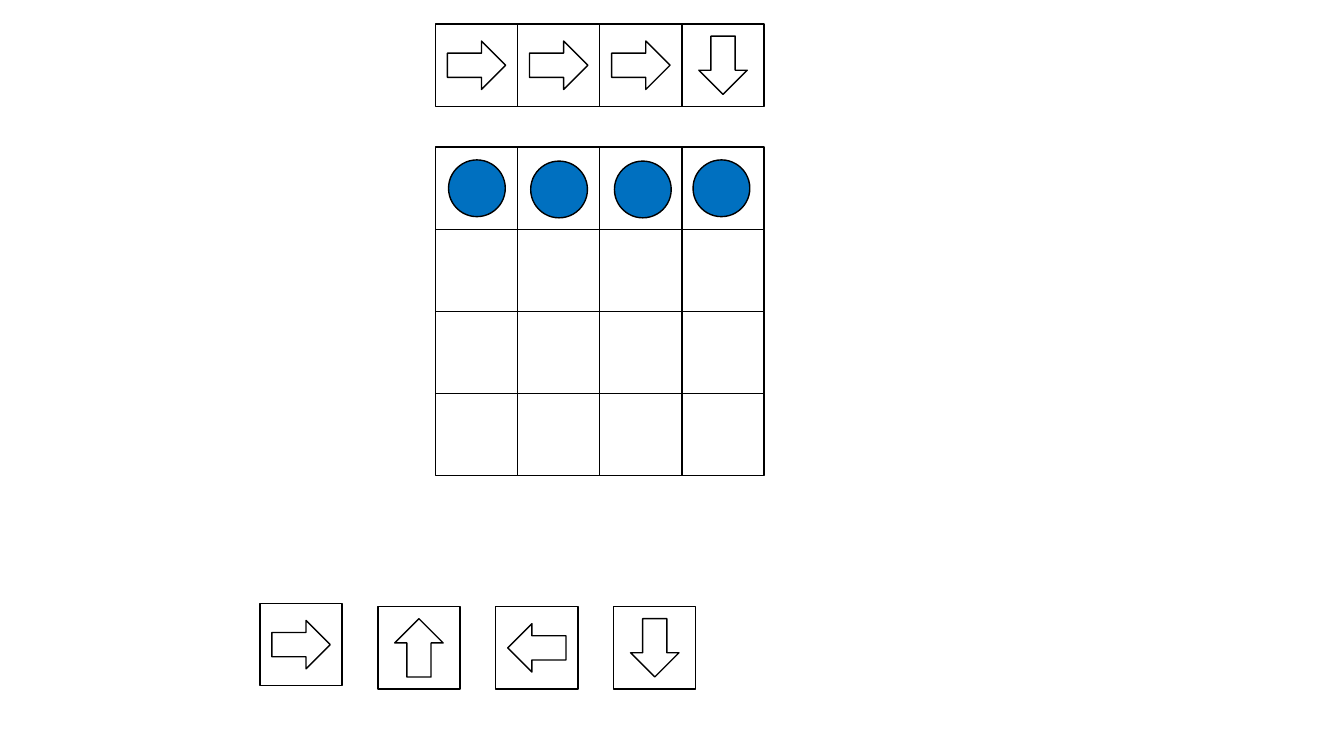
from pptx import Presentation
from pptx import util as u
from pptx.dml import color
from pptx.enum import shapes

COLORS = {"paper": "FFFFFF", "ink": "000000", "token": "0070C0"}
SHAPE = shapes.MSO_SHAPE
CELL = 2.07  # side of a square, in cm
ARROW_W, ARROW_H = 1.47, 1.22
TOKEN = 1.43
TURN = {"right": 0, "down": 90, "left": 180, "up": 270}


class Board:
    line_format = {"width": u.Pt(1)}

    def __init__(self, slide):
        self.s = slide

    def shape(self, kind, x, y, w, h, fill="paper", parent=None, **attrs):
        owner = parent or self.s
        sp = owner.shapes.add_shape(kind, u.Cm(x), u.Cm(y), u.Cm(w), u.Cm(h))
        sp.shadow.inherit = False
        sp.fill.solid()
        sp.fill.fore_color.rgb = color.RGBColor.from_string(COLORS[fill])
        sp.line.color.rgb = color.RGBColor.from_string(COLORS["ink"])
        for target, values in ((sp.line, self.line_format), (sp, attrs)):
            for name, value in values.items():
                setattr(target, name, value)
        return sp

    def square(self, x, y, parent=None):
        return self.shape(SHAPE.RECTANGLE, x, y, CELL, CELL, parent=parent)

    def token(self, x, y):
        return self.shape(SHAPE.OVAL, x, y, TOKEN, TOKEN, fill="token")

    def card(self, x, y, direction):
        group = self.s.shapes.add_group_shape()
        self.square(x, y, group)
        self.shape(SHAPE.RIGHT_ARROW, x + (CELL - ARROW_W) / 2,
                   y + (CELL - ARROW_H) / 2, ARROW_W, ARROW_H,
                   parent=group, rotation=TURN[direction])
        return group


prs = Presentation()
prs.slide_width, prs.slide_height = u.Inches(13.33), u.Inches(7.5)
board = Board(prs.slides.add_slide(prs.slide_layouts[6]))

# Playing grid
LEFT, GRID_TOP = 10.97, 3.71
for row in range(4):
    for col in range(4):
        board.square(LEFT + col * CELL, GRID_TOP + row * CELL)

# Tokens on the top row
for x, y in ((11.3, 4.03), (13.37, 4.06), (15.48, 4.06), (17.46, 4.03)):
    board.token(x, y)

# Program of moves above the grid
for i, direction in enumerate(("right", "right", "right", "down")):
    board.card(LEFT + i * CELL, 0.61, direction)

# Loose cards to choose from, the first one slightly higher
STOCK_LEFT, STOCK_STEP = 6.55, 2.97
for i, direction in enumerate(("right", "up", "left", "down")):
    board.card(STOCK_LEFT + i * STOCK_STEP, 15.29 if i else 15.21, direction)

prs.save("out.pptx")
